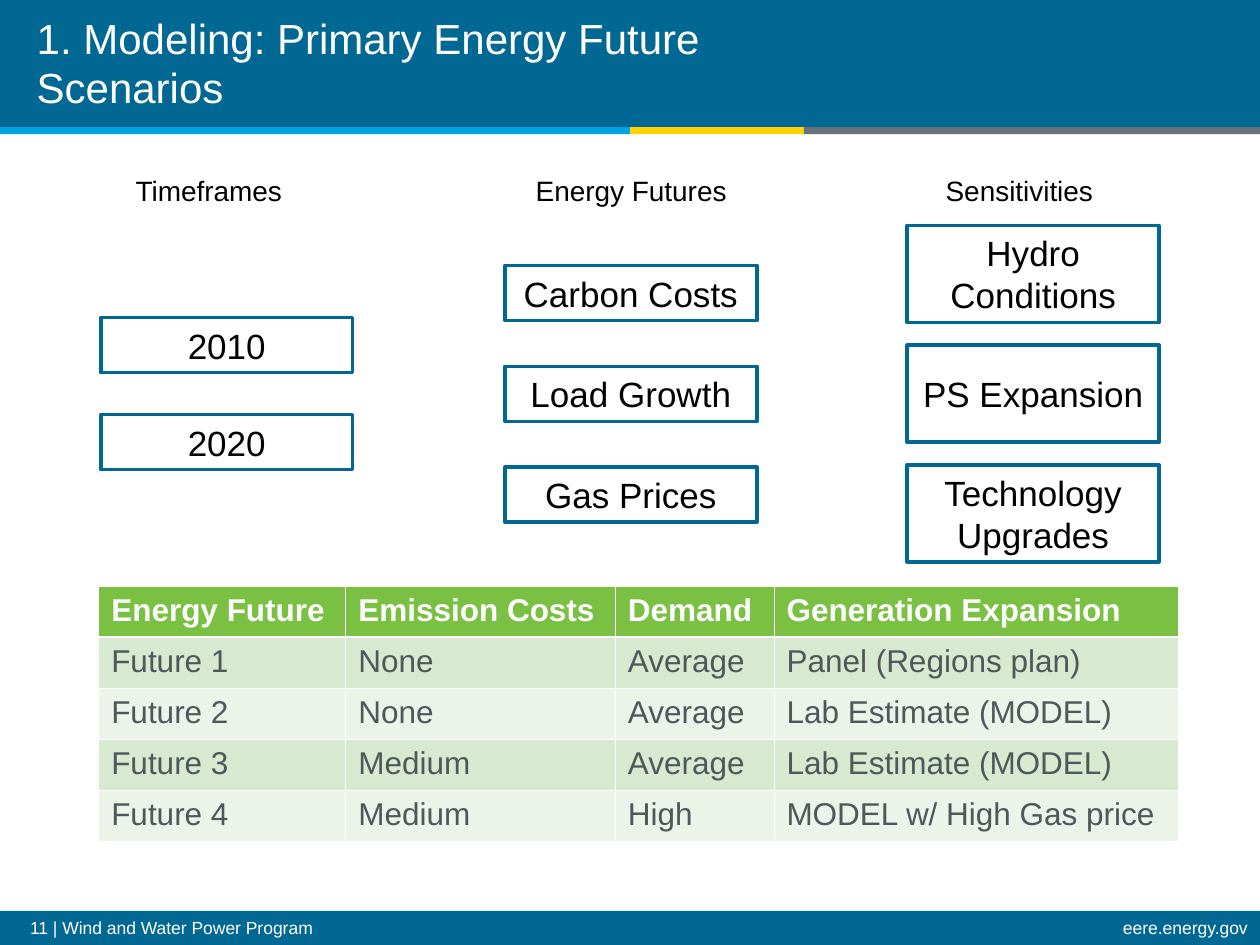
from lxml.etree import SubElement
from pptx import Presentation
from pptx.dml.color import RGBColor
from pptx.enum.shapes import MSO_SHAPE
from pptx.enum.text import MSO_ANCHOR, PP_ALIGN
from pptx.oxml.ns import qn
from pptx.util import Pt

BLUE, WHITE, BLACK = "006892", "FFFFFF", "000000"
ROWS = [
    ["Energy Future", "Emission Costs", "Demand", "Generation Expansion"],
    ["Future 1", "None", "Average", "Panel (Regions plan)"],
    ["Future 2", "None", "Average", "Lab Estimate (MODEL)"],
    ["Future 3", "Medium", "Average", "Lab Estimate (MODEL)"],
    ["Future 4", "Medium", "High", "MODEL w/ High Gas price"],
]


def color(code):
    return RGBColor.from_string(code)


def write(frame, text, size=18, ink=BLACK, bold=False,
          align=PP_ALIGN.LEFT, space=None):
    """Fill a text frame with one paragraph."""
    frame.word_wrap = True
    para = frame.paragraphs[0]
    para.text = text
    para.alignment = align
    if space:
        para.line_spacing = space
    font = para.font
    font.name, font.size, font.bold = "Arial", Pt(size), bold
    font.color.rgb = color(ink)


def label(slide, text, x, y, w, h, **form):
    box = slide.shapes.add_textbox(Pt(x), Pt(y), Pt(w), Pt(h))
    box.text_frame.vertical_anchor = MSO_ANCHOR.MIDDLE
    write(box.text_frame, text, **form)


def block(slide, x, y, w, h, fill, line=None):
    shape = slide.shapes.add_shape(
        MSO_SHAPE.RECTANGLE, Pt(x), Pt(y), Pt(w), Pt(h))
    shape.shadow.inherit = False
    shape.fill.solid()
    shape.fill.fore_color.rgb = color(fill)
    if line:
        shape.line.color.rgb = color(line)
        shape.line.width = Pt(2)
    else:
        shape.line.fill.background()
    return shape


def stack(slide, names, x, y, h, step):
    """Draw a column of equal outlined boxes."""
    for i, name in enumerate(names):
        box = block(slide, x, y + i * step, 144, h, WHITE, BLUE)
        box.text_frame.vertical_anchor = MSO_ANCHOR.MIDDLE
        write(box.text_frame, name, size=20, align=PP_ALIGN.CENTER)


def border(cell, top, bottom):
    """Draw white cell borders; they must come before the fill."""
    props = cell._tc.get_or_add_tcPr()
    for tag, width in (("lnL", 0.45), ("lnR", 0.45),
                       ("lnT", top), ("lnB", bottom)):
        line = SubElement(props, qn("a:" + tag), w=str(Pt(width)))
        fill = SubElement(line, qn("a:solidFill"))
        SubElement(fill, qn("a:srgbClr"), val=WHITE)


def grid(slide):
    widths = [141.2, 154, 90.7, 231.2]
    high = 29.2
    table = slide.shapes.add_table(
        len(ROWS), len(widths), Pt(56.4), Pt(335),
        Pt(sum(widths)), Pt(high * len(ROWS))).table
    for col, width in zip(table.columns, widths):
        col.width = Pt(width)
    for r, row in enumerate(ROWS):
        table.rows[r].height = Pt(high)
        head = r == 0
        fill = "7AC143" if head else ("ECF4E9", "D7E9CF")[r % 2]
        for c, text in enumerate(row):
            cell = table.cell(r, c)
            border(cell, 1.47 if r == 1 else 0.45, 1.47 if head else 0.45)
            cell.fill.solid()
            cell.fill.fore_color.rgb = color(fill)
            write(cell.text_frame, text, bold=head,
                  ink=WHITE if head else "50565C")


def frame(slide):
    """Draw the header, its stripe and the footer."""
    block(slide, 0, 0, 720, 72.7, BLUE)
    block(slide, 0, 520.5, 720, 19.5, BLUE)
    for x, end, fill in ((0, 360, "00A4E4"), (360, 459.4, "FFD200"),
                         (459.4, 720, "6A737B")):
        block(slide, x, 72.7, end - x, 4, fill)
    label(slide, "1. Modeling: Primary Energy Future Scenarios",
          13.9, 0, 445.7, 71.3, size=24, ink=WHITE, space=Pt(28))
    foot = dict(size=10, ink=WHITE, space=0.9)
    label(slide, "11 | Wind and Water Power Program",
          10.1, 521.3, 400, 18.7, **foot)
    label(slide, "eere.energy.gov", 520, 521.3, 200, 18.7,
          align=PP_ALIGN.RIGHT, **foot)


def main():
    deck = Presentation()
    deck.slide_width, deck.slide_height = Pt(720), Pt(540)
    slide = deck.slides.add_slide(deck.slide_layouts[6])
    frame(slide)
    for text, x in (("Timeframes", 46.6), ("Energy Futures", 288),
                    ("Sensitivities", 509.8)):
        label(slide, text, x, 95.3, 145.4, 26.6,
              size=16, align=PP_ALIGN.CENTER)
    stack(slide, ["2010", "2020"], 57.6, 181.5, 31.5, 55.4)
    stack(slide, ["Carbon Costs", "Load Growth", "Gas Prices"],
          288.5, 151.7, 31.5, 57.6)
    stack(slide, ["Hydro Conditions", "PS Expansion", "Technology Upgrades"],
          518.4, 128.9, 55.4, 68.4)
    grid(slide)
    deck.save("out.pptx")


if __name__ == "__main__":
    main()
